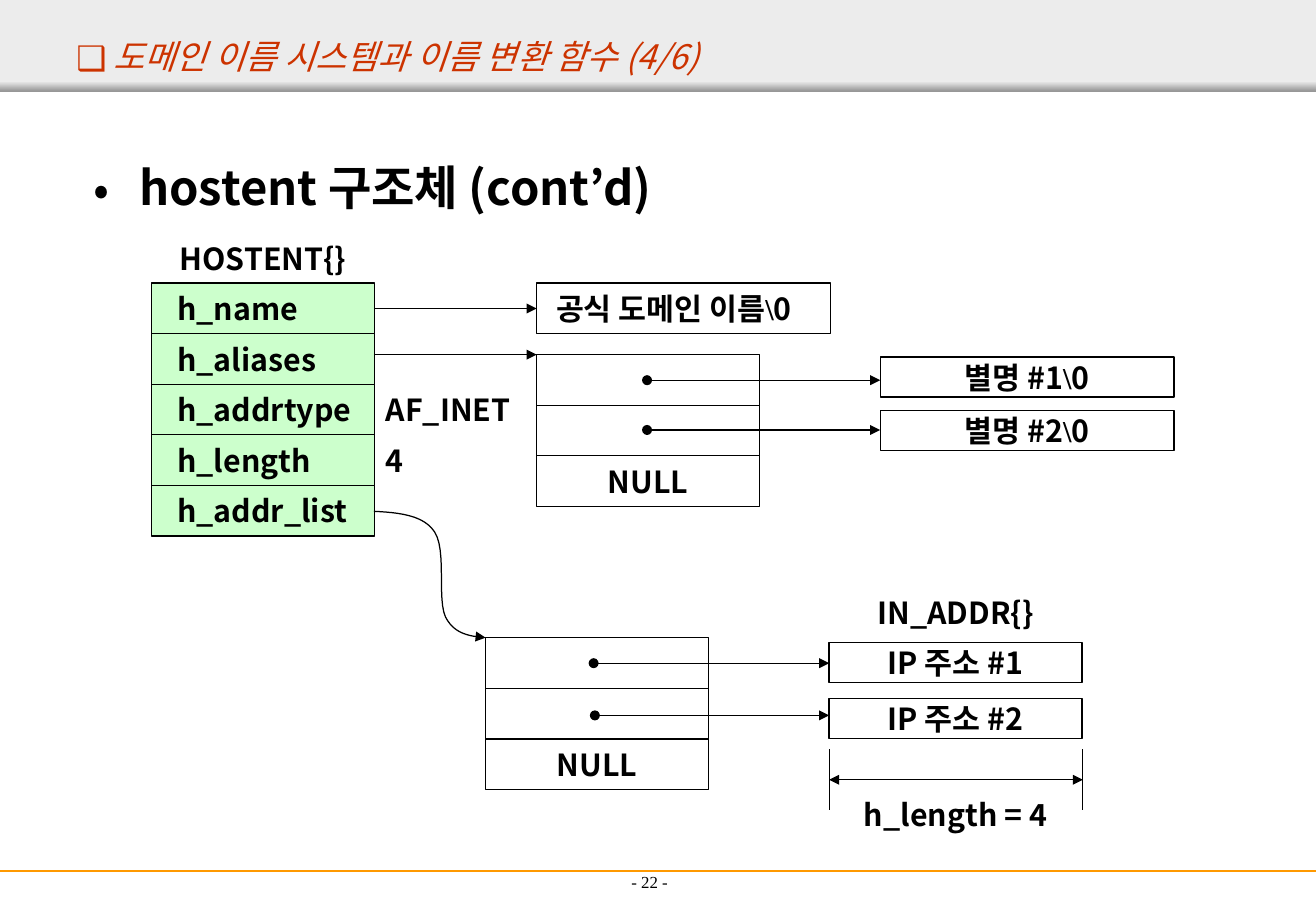
from lxml.etree import SubElement
from pptx import Presentation
from pptx.dml.color import RGBColor
from pptx.enum.shapes import MSO_CONNECTOR, MSO_SHAPE
from pptx.enum.text import MSO_ANCHOR, PP_ALIGN
from pptx.oxml.ns import qn
from pptx.util import Inches, Pt

COLORS = {"black": "000000", "red": "CC3300", "green": "CCFFCC",
          "orange": "FF9900", "band": "ECECEC", "edge": "979797"}
RGB = {name: RGBColor.from_string(value) for name, value in COLORS.items()}
SANS, SERIF = "Noto Sans CJK KR", "Times New Roman"
ROW = 5 / 12
CELL_W = 11 / 6
ADDRESS_W = 25 / 12

prs = Presentation()
prs.slide_width, prs.slide_height = Inches(10.84), Inches(7.5)
s = prs.slides.add_slide(prs.slide_layouts[6])


def box(x, y, w, h, text="", fill=None, border=True, size=18, bold=True, italic=False,
        color="black", font=SANS, align=PP_ALIGN.CENTER, anchor=MSO_ANCHOR.MIDDLE,
        left=0.1, bullet=None, hang=0):
    """Bordered rectangle or plain text box; a backslash is set in the serif font."""
    place = [Inches(v) for v in (x, y, w, h)]
    if border or fill:
        sp = s.shapes.add_shape(MSO_SHAPE.RECTANGLE, *place)
        sp.shadow.inherit = False
        if fill:
            sp.fill.solid()
            sp.fill.fore_color.rgb = RGB[fill]
        else:
            sp.fill.background()
        if border:
            sp.line.color.rgb = RGB["black"]
            sp.line.width = Pt(0.75)
        else:
            sp.line.fill.background()
    else:
        sp = s.shapes.add_textbox(*place)
    tf = sp.text_frame
    tf.word_wrap = True
    tf.vertical_anchor = anchor
    tf.margin_left = Inches(left)
    p = tf.paragraphs[0]
    p.alignment = align
    if bullet:
        pPr = p._p.get_or_add_pPr()
        pPr.set("marL", str(Inches(hang)))
        pPr.set("indent", str(-Inches(hang)))
        clr = SubElement(pPr, qn("a:buClr"))
        SubElement(clr, qn("a:srgbClr"), val=COLORS[color])
        SubElement(pPr, qn("a:buFont"), typeface=font)
        SubElement(pPr, qn("a:buChar"), char=bullet)
    for part in filter(None, text.partition("\\")):
        r = p.add_run()
        r.text = part
        r.font.size, r.font.bold, r.font.italic = Pt(size), bold, italic
        r.font.color.rgb = RGB[color]
        r.font.name = SERIF if part == "\\" else font
        SubElement(r._r.get_or_add_rPr(), qn("a:ea"), typeface=r.font.name)
    return sp


def stroke(points, head=None, tail=None, color="black", width=0.75):
    """Straight connector for two points, open outline for more."""
    points = [(Inches(x), Inches(y)) for x, y in points]
    if len(points) == 2:
        sp = s.shapes.add_connector(MSO_CONNECTOR.STRAIGHT, *points[0], *points[1])
    else:
        builder = s.shapes.build_freeform(*points[0])
        builder.add_line_segments(points[1:], close=False)
        sp = builder.convert_to_shape()
        sp.fill.background()
    sp.line.color.rgb = RGB[color]
    sp.line.width = Pt(width)
    ln = sp.line._get_or_add_ln()
    for tag, kind in (("a:headEnd", head), ("a:tailEnd", tail)):
        if kind:
            SubElement(ln, qn(tag), type=kind)
    SubElement(sp._element.spPr, qn("a:effectLst"))


# Header band, title, footer
box(0, 0, 10.84, 0.75, fill="band", border=False)
shade = box(0, 0.67, 10.84, 0.08, fill="band", border=False)
shade.fill.gradient()
shade.fill.gradient_angle = 270
for stop, name, position in zip(shade.fill.gradient_stops, ("band", "edge"), (0, 1)):
    stop.color.rgb = RGB[name]
    stop.position = position
stroke([(0, 7.17), (10.84, 7.17)], color="orange", width=1.5)
box(3.69, 6.89, 3.32, 0.5, "- 22 -", border=False, size=10, bold=False,
    font=SERIF, anchor=MSO_ANCHOR.BOTTOM)
box(0.53, 0.25, 10.31, 0.42, "도메인 이름 시스템과 이름 변환 함수 (4/6)", border=False,
    size=20, bold=False, italic=True, color="red", align=PP_ALIGN.LEFT,
    bullet="❑", hang=0.31)
box(0.67, 1.25, 9.5, 0.7, "hostent 구조체 (cont’d)", border=False, size=28,
    align=PP_ALIGN.LEFT, anchor=MSO_ANCHOR.TOP, bullet="•", hang=0.38)

# HOSTENT structure and its plain values
box(1.25, 1.92, CELL_W, ROW, "HOSTENT{}", border=False)
fields = ["h_name", "h_aliases", "h_addrtype", "h_length", "h_addr_list"]
values = {"h_addrtype": "AF_INET", "h_length": "4"}
for i, field in enumerate(fields):
    y = 2.33 + i * ROW
    box(1.25, y, CELL_W, ROW, field, fill="green", align=PP_ALIGN.LEFT, left=0.21)
    if field in values:
        box(3.08, y, 1.5, ROW, values[field], border=False, align=PP_ALIGN.LEFT)

# Pointer arrays ending in NULL
for x, top in ((4.42, 2.92), (4, 5.25)):
    for i, text in enumerate(("", "", "NULL")):
        box(x, top + i * ROW, CELL_W, ROW, text)

# Targets of the pointers
box(4.42, 2.33, 2.42, ROW, "공식 도메인 이름\\0", align=PP_ALIGN.LEFT, left=0.16)
for i, (alias_y, address_y) in enumerate(((2.94, 5.29), (3.38, 5.75)), 1):
    box(7.25, alias_y, 2.42, 0.33, f"별명 #{i}\\0")
    box(6.83, address_y, ADDRESS_W, 0.33, f"IP 주소 #{i}")
box(6.83, 4.88, ADDRESS_W, 0.33, "IN_ADDR{}", border=False)
box(6.83, 6.58, ADDRESS_W, 0.25, "h_length = 4", border=False)

# Arrows
for y in (2.54, 2.92):
    stroke([(3.08, y), (4.42, y)], tail="triangle")
for x1, x2, y in ((5.33, 7.25, 3.13), (5.33, 7.25, 3.54),
                  (4.89, 6.83, 5.46), (4.9, 6.83, 5.89)):
    stroke([(x1, y), (x2, y)], head="oval", tail="triangle")

# Curve from h_addr_list to the address array, sampled from cubic segments
curve = [(3.08, 4.21)]
for b, c, d in (((3.28, 4.22), (3.49, 4.24), (3.58, 4.38)),
                ((3.68, 4.53), (3.6, 4.93), (3.67, 5.08)),
                ((3.74, 5.22), (3.87, 5.24), (4, 5.25))):
    a = curve[-1]
    for t in (n / 12 for n in range(1, 13)):
        weights = ((1 - t) ** 3, 3 * t * (1 - t) ** 2, 3 * t ** 2 * (1 - t), t ** 3)
        curve.append(tuple(sum(k * v for k, v in zip(weights, axis))
                           for axis in zip(a, b, c, d)))
stroke(curve, tail="triangle")

# Dimension line for h_length
for x in (6.83, 8.92):
    stroke([(x, 6.17), (x, 6.67)])
stroke([(6.83, 6.42), (8.92, 6.42)], head="triangle", tail="triangle")

prs.save("out.pptx")
